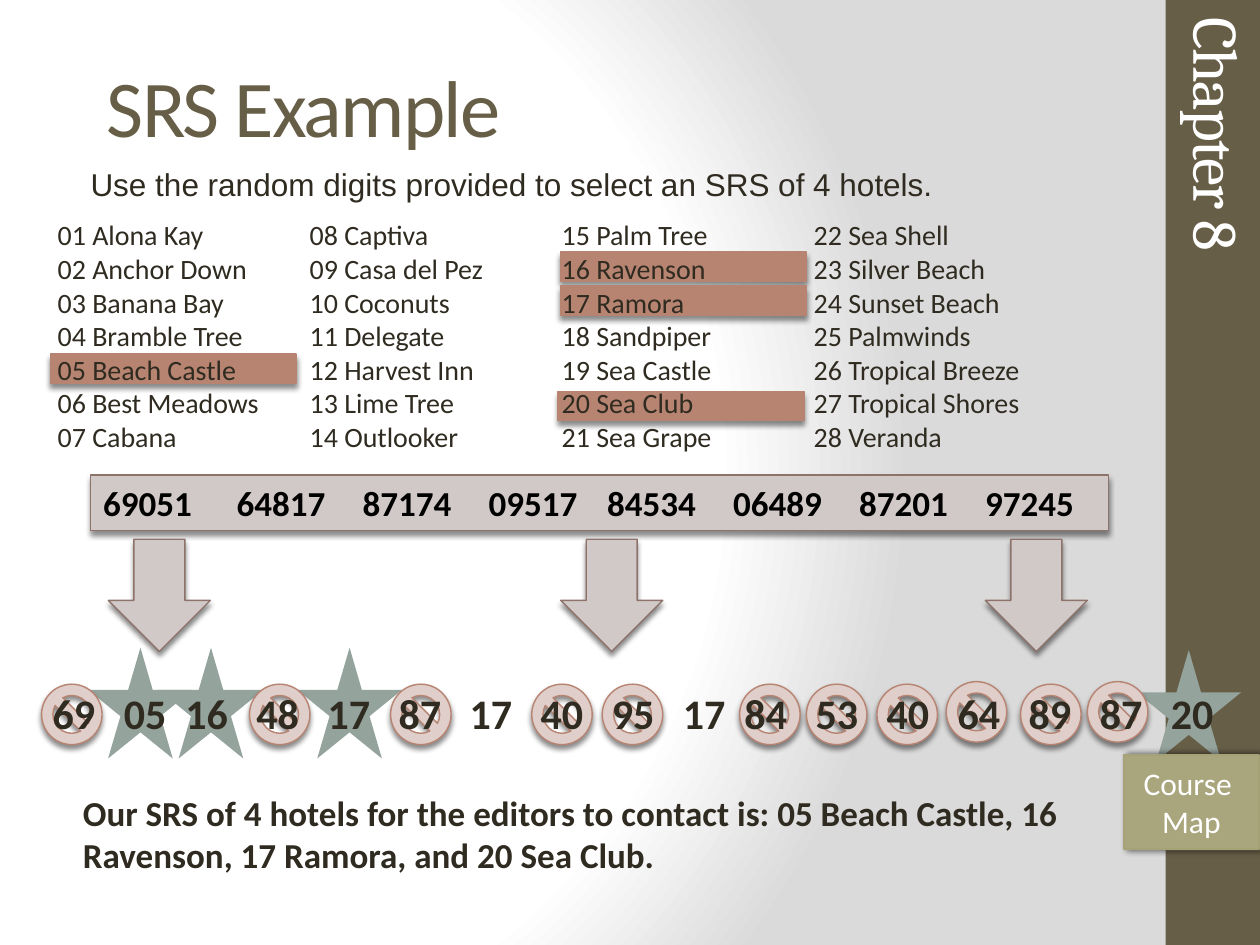
from dataclasses import dataclass
from itertools import accumulate

from lxml.etree import SubElement
from pptx import Presentation
from pptx.dml.color import RGBColor
from pptx.enum.shapes import MSO_SHAPE
from pptx.enum.text import MSO_ANCHOR, PP_ALIGN
from pptx.oxml import parse_xml
from pptx.oxml.ns import nsdecls, qn
from pptx.util import Inches, Pt


@dataclass(frozen=True)
class Theme:
    # Colours
    brown: str = "675E47"
    olive: str = "A9A57C"
    edge: str = "A6A278"
    clay: str = "B88472"
    blush: str = "DFCEC9"
    stone: str = "D1C9C7"
    umber: str = "8E736A"
    sage: str = "95A39D"
    ink: str = "2F2B20"
    black: str = "000000"
    white: str = "FFFFFF"
    grey: str = "DADADA"
    # Fonts and type sizes
    body: str = "Calibri"
    plain: str = "Arial"
    serif: str = "Cambria"
    title: int = 46
    side: int = 36
    draw: int = 24
    strong: int = 20
    lead: int = 18
    small: int = 16


THEME = Theme()
COLS, ROWS = 100, 75
DROP = (45, 3, 2.4, 90)  # alpha, blur, distance, angle
SIDE_DROP = (60, 4, 2, 0)


def write(frame, lines, size=THEME.small, color=THEME.ink, font=THEME.body,
          bold=False, align=None, middle=False, track=0, tabs=(), wrap=True):
    """Fill a text frame, one paragraph a line; tabs are in columns."""
    frame.word_wrap = wrap
    frame.vertical_anchor = MSO_ANCHOR.MIDDLE if middle else MSO_ANCHOR.TOP
    for i, line in enumerate(lines):
        para = frame.add_paragraph() if i else frame.paragraphs[0]
        para.text = line
        para.alignment = align or PP_ALIGN.LEFT
        if tabs:
            stops = SubElement(para._p.get_or_add_pPr(), qn("a:tabLst"))
            for stop in tabs:
                SubElement(stops, qn("a:tab"), algn="l",
                           pos=str(Inches(stop * 10 / COLS)))
        for run in para.runs:
            run.font.size, run.font.name = Pt(size), font
            run.font.bold = bold
            run.font.color.rgb = RGBColor.from_string(color)
            if track:
                run._r.get_or_add_rPr().set("spc", str(track * 100))


class Page:
    def __init__(self, theme):
        self.theme = theme
        self.deck = Presentation()
        self.deck.slide_width, self.deck.slide_height = Inches(10), Inches(7.5)
        self.slide = self.deck.slides.add_slide(self.deck.slide_layouts[6])

    def place(self, box):
        """Turn (column, row, columns, rows) into slide lengths."""
        wide, high = self.deck.slide_width, self.deck.slide_height
        return [round(n * full / count) for n, full, count in
                zip(box, (wide, high) * 2, (COLS, ROWS) * 2)]

    def glow(self):
        """Set the round white-to-grey backdrop."""
        stops = ((0, self.theme.white), (75, self.theme.white), (100, self.theme.grey))
        marks = "".join(f'<a:gs pos="{at * 1000}"><a:srgbClr val="{color}"/></a:gs>'
                        for at, color in stops)
        back = parse_xml(
            f'<p:bg {nsdecls("p", "a")}><p:bgPr><a:gradFill rotWithShape="1">'
            f'<a:gsLst>{marks}</a:gsLst><a:path path="circle">'
            '<a:fillToRect l="20000" t="50000" r="100000" b="50000"/></a:path>'
            '</a:gradFill><a:effectLst/></p:bgPr></p:bg>')
        self.slide.shapes._spTree.addprevious(back)

    def shape(self, kind, box, fill, line=None, width=0.79, drop=None):
        item = self.slide.shapes.add_shape(kind, *self.place(box))
        item.shadow.inherit = False
        item.fill.solid()
        item.fill.fore_color.rgb = RGBColor.from_string(fill)
        if line:
            item.line.color.rgb = RGBColor.from_string(line)
            item.line.width = Pt(width)
        else:
            item.line.fill.background()
        if drop:
            self.shade(item, *drop)
        return item

    def shade(self, item, alpha, blur, far, angle):
        glows = item._element.spPr.find(qn("a:effectLst"))
        outer = SubElement(glows, qn("a:outerShdw"), blurRad=str(Pt(blur)),
                           dist=str(Pt(far)), dir=str(angle * 60000),
                           algn="ctr", rotWithShape="0")
        color = SubElement(outer, qn("a:srgbClr"), val=self.theme.black)
        SubElement(color, qn("a:alpha"), val=str(alpha * 1000))

    def text(self, box, lines, turn=0, **form):
        item = self.slide.shapes.add_textbox(*self.place(box))
        item.rotation = turn
        write(item.text_frame, lines, **form)

    def save(self):
        self.deck.save("out.pptx")


HOTELS = [
    "Alona Kay", "Anchor Down", "Banana Bay", "Bramble Tree", "Beach Castle",
    "Best Meadows", "Cabana",
    "Captiva", "Casa del Pez", "Coconuts", "Delegate", "Harvest Inn",
    "Lime Tree", "Outlooker",
    "Palm Tree", "Ravenson", "Ramora", "Sandpiper", "Sea Castle",
    "Sea Club", "Sea Grape",
    "Sea Shell", "Silver Beach", "Sunset Beach", "Palmwinds",
    "Tropical Breeze", "Tropical Shores", "Veranda"]
DEPTH = 7
DIGITS = "69051 64817 87174 09517 84534 06489 87201 97245".split()
PAIRS = "69 05 16 48 17 87 17 40 95 17 84 53 40 64 89 87 20".split()
PICKS = [  # strip corner, star corner
    ((4, 28.1), (7, 51.4)), ((44.5, 20), (12.6, 51.4)),
    ((44.5, 22.7), (23.6, 51.4)), ((44.3, 31.1), (90.2, 51.6))]
SKIPS = [3.3, 19.8, 31, 42.2, 47.8, 58.7, 64, 69.6, 75.1, 81, 86.3]
RAISED = {75.1, 86.3}


def main():
    t = THEME
    page = Page(t)

    # Backdrop and side bar
    page.glow()
    page.shape(MSO_SHAPE.RECTANGLE, (92.5, 0, 7.5, ROWS), t.brown)
    page.shape(MSO_SHAPE.RECTANGLE, (92.5, 60, 7.5, 7.5), t.olive)

    # Title
    page.text((7.5, 1.7, 85, 13.3), ["SRS Example"], size=t.title,
              color=t.brown, middle=True, track=-1)

    # Chosen hotels and their stars
    for strip, star in PICKS:
        page.shape(MSO_SHAPE.RECTANGLE, (*strip, 19.5, 2.3), t.clay, t.clay, drop=DROP)
        page.shape(MSO_SHAPE.STAR_5_POINT, (*star, 8.3, 8.8), t.sage)

    # Signs over the numbers not used
    for left in SKIPS:
        top = 54.1 if left in RAISED else 54.3
        page.shape(MSO_SHAPE.NO_SYMBOL, (left, top, 4.8, 4.8), t.blush, t.clay, drop=DROP)

    # Hotel list
    names = [f"{n:02} {name}" for n, name in enumerate(HOTELS, 1)]
    page.text((3.6, 16.8, 82.9, 19.9),
              ["\t".join(names[row::DEPTH]) for row in range(DEPTH)],
              tabs=(20, 40, 60))

    # Random digits
    band = page.shape(MSO_SHAPE.RECTANGLE, (7.2, 37.7, 80.8, 4.4), t.stone, t.umber, drop=DROP)
    write(band.text_frame, ["\t".join(DIGITS)], size=t.strong, color=t.black,
          bold=True, tabs=(10.6, 20.6, 30.6, 40, 50, 60, 70))

    # Digits in pairs, closer together after the second and tenth
    gaps = [4.89 if i in (1, 9) else 5.64 for i in range(len(PAIRS) - 1)]
    page.text((3.2, 54.1, 95.9, 5), ["\t".join(PAIRS)], size=t.draw,
              bold=True, tabs=list(accumulate(gaps)))

    # Arrows
    for left in (44.5, 8.6, 78.2):
        page.shape(MSO_SHAPE.DOWN_ARROW, (left, 42.8, 8.1, 8.9), t.stone, t.umber, drop=DROP)

    # Answer and task
    page.text((5.6, 62.3, 88.4, 7.7),
              ["Our SRS of 4 hotels for the editors to contact is: 05 Beach Castle, "
               "16 Ravenson, 17 Ramora, and 20 Sea Club."],
              size=t.strong, bold=True)
    page.text((6.2, 12.6, 69.5, 4),
              ["Use the random digits provided to select an SRS of 4 hotels."],
              size=t.lead, font=t.plain, wrap=False)

    # Chapter label and map button
    page.text((73.8, 19.3, 45.8, 8), ["Chapter 8"], turn=90, size=t.side,
              color=t.white, font=t.serif, middle=True, track=-1)
    button = page.shape(MSO_SHAPE.ACTION_BUTTON_CUSTOM, (89.2, 59.9, 10.7, 7.5),
                        t.olive, t.edge, width=1, drop=SIDE_DROP)
    write(button.text_frame, ["Course \vMap"], size=t.lead, color=t.white,
          align=PP_ALIGN.CENTER, middle=True)

    page.save()


if __name__ == "__main__":
    main()
